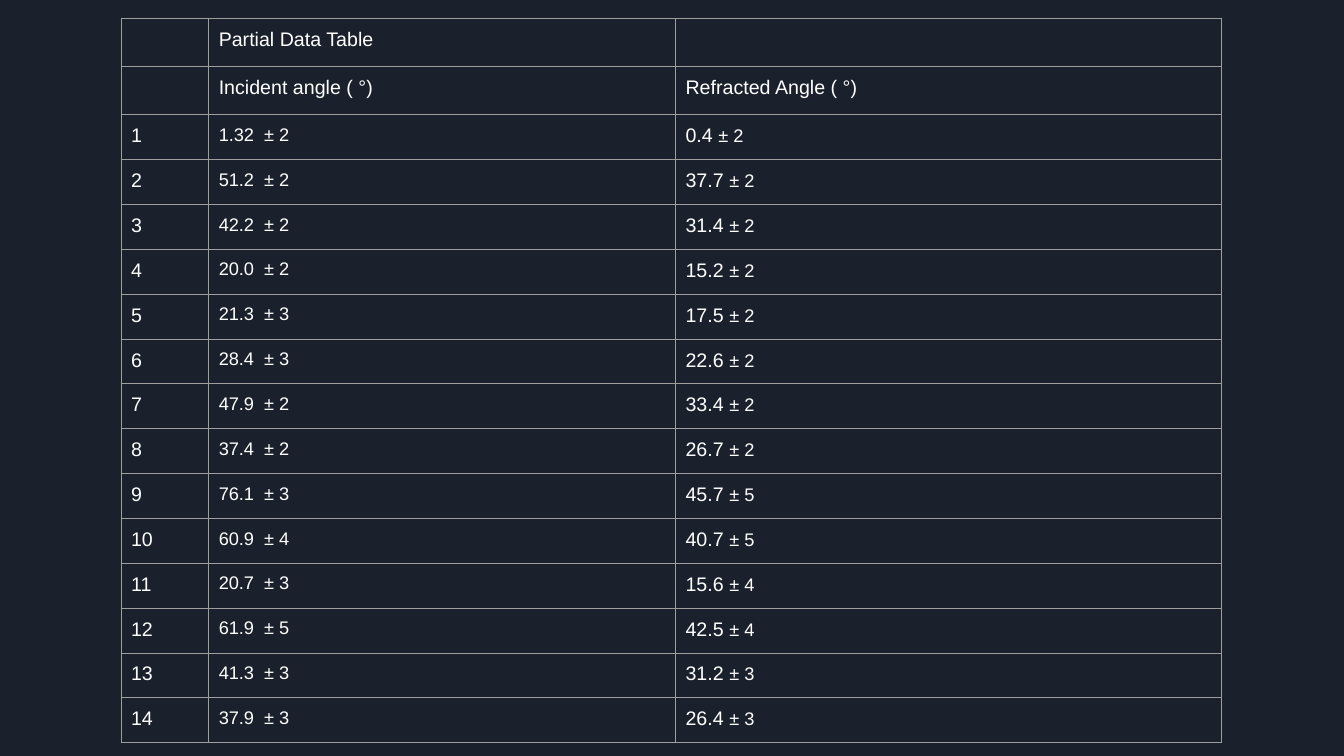
import lxml.etree
import pptx
import pptx.dml.color
import pptx.oxml
import pptx.oxml.ns
import pptx.util

Inches = pptx.util.Inches
Pt = pptx.util.Pt

COLOURS = {"background": "1B212C", "text": "FFFFFF", "border": "9E9E9E"}
HEADER_ROWS = [
    ("", "Partial Data Table", ""),
    ("", "Incident angle ( °)", "Refracted Angle ( °)"),
]
# Incident angle, its uncertainty, refracted angle, its uncertainty
READINGS = [
    ("1.32", 2, "0.4", 2),
    ("51.2", 2, "37.7", 2),
    ("42.2", 2, "31.4", 2),
    ("20.0", 2, "15.2", 2),
    ("21.3", 3, "17.5", 2),
    ("28.4", 3, "22.6", 2),
    ("47.9", 2, "33.4", 2),
    ("37.4", 2, "26.7", 2),
    ("76.1", 3, "45.7", 5),
    ("60.9", 4, "40.7", 5),
    ("20.7", 3, "15.6", 4),
    ("61.9", 5, "42.5", 4),
    ("41.3", 3, "31.2", 3),
    ("37.9", 3, "26.4", 3),
]
COLUMN_WIDTHS = [0.87, 4.63, 5.42]
TABLE_HEIGHT = 7.19
HEADER_HEIGHT = 0.48
LARGE, SMALL = 14, 13


class SlideBuilder:
    def __init__(self, deck):
        self.font = "Arial"
        self.border_width = Pt(0.75)
        self.slide = deck.slides.add_slide(deck.slide_layouts[6])
        fill = self.slide.background.fill
        fill.solid()
        fill.fore_color.rgb = self.colour("background")

    def colour(self, name):
        return pptx.dml.color.RGBColor.from_string(COLOURS[name])

    def table(self, left, top, widths, heights, rows):
        """Each cell in rows is a list of (text, point size) spans."""
        frame = self.slide.shapes.add_table(
            len(rows), len(widths), Inches(left), Inches(top),
            Inches(sum(widths)), Inches(sum(heights)))
        table = frame.table
        for name, value in {"first_row": False, "horz_banding": False}.items():
            setattr(table, name, value)
        for column, width in zip(table.columns, widths):
            column.width = Inches(width)
        for row, height, contents in zip(table.rows, heights, rows):
            row.height = Inches(height)
            for cell, spans in zip(row.cells, contents):
                self.cell(cell, spans)

    def cell(self, cell, spans):
        for side in ("left", "right", "top", "bottom"):
            setattr(cell, f"margin_{side}", Inches(0.1))
        self.borders(cell)
        cell.fill.background()
        para = cell.text_frame.paragraphs[0]
        for text, size in spans:
            span = para.add_run()
            span.text = text
            for name, value in {"name": self.font, "size": Pt(size)}.items():
                setattr(span.font, name, value)
            span.font.color.rgb = self.colour("text")
        if not spans:
            self.limit_empty_line(para)

    def limit_empty_line(self, para):
        """Keep the default 18 pt line of an empty cell from stretching its row."""
        lxml.etree.SubElement(para._p, pptx.oxml.ns.qn("a:endParaRPr"),
                              sz=str(LARGE * 100))

    def borders(self, cell):
        properties = cell._tc.get_or_add_tcPr()
        namespace = pptx.oxml.ns.nsdecls("a")
        for side in "LRTB":
            properties.append(pptx.oxml.parse_xml(
                f'<a:ln{side} {namespace} w="{self.border_width}"><a:solidFill>'
                f'<a:srgbClr val="{COLOURS["border"]}"/>'
                f'</a:solidFill></a:ln{side}>'))


def table_rows():
    rows = [[[(text, LARGE)] if text else [] for text in header]
            for header in HEADER_ROWS]
    for number, reading in enumerate(READINGS, start=1):
        incident, incident_error, refracted, refracted_error = reading
        rows.append([
            [(str(number), LARGE)],
            [(f"{incident}  ± {incident_error}", SMALL)],
            [(f"{refracted} ", LARGE), (f"± {refracted_error}", SMALL)],
        ])
    return rows


def main():
    deck = pptx.Presentation()
    deck.slide_width = Inches(13.33)
    deck.slide_height = Inches(7.5)
    header_heights = [HEADER_HEIGHT] * len(HEADER_ROWS)
    reading_height = (TABLE_HEIGHT - sum(header_heights)) / len(READINGS)
    heights = header_heights + [reading_height] * len(READINGS)
    builder = SlideBuilder(deck)
    builder.table(1.2, 0.18, COLUMN_WIDTHS, heights, table_rows())
    deck.save("out.pptx")


if __name__ == "__main__":
    main()
